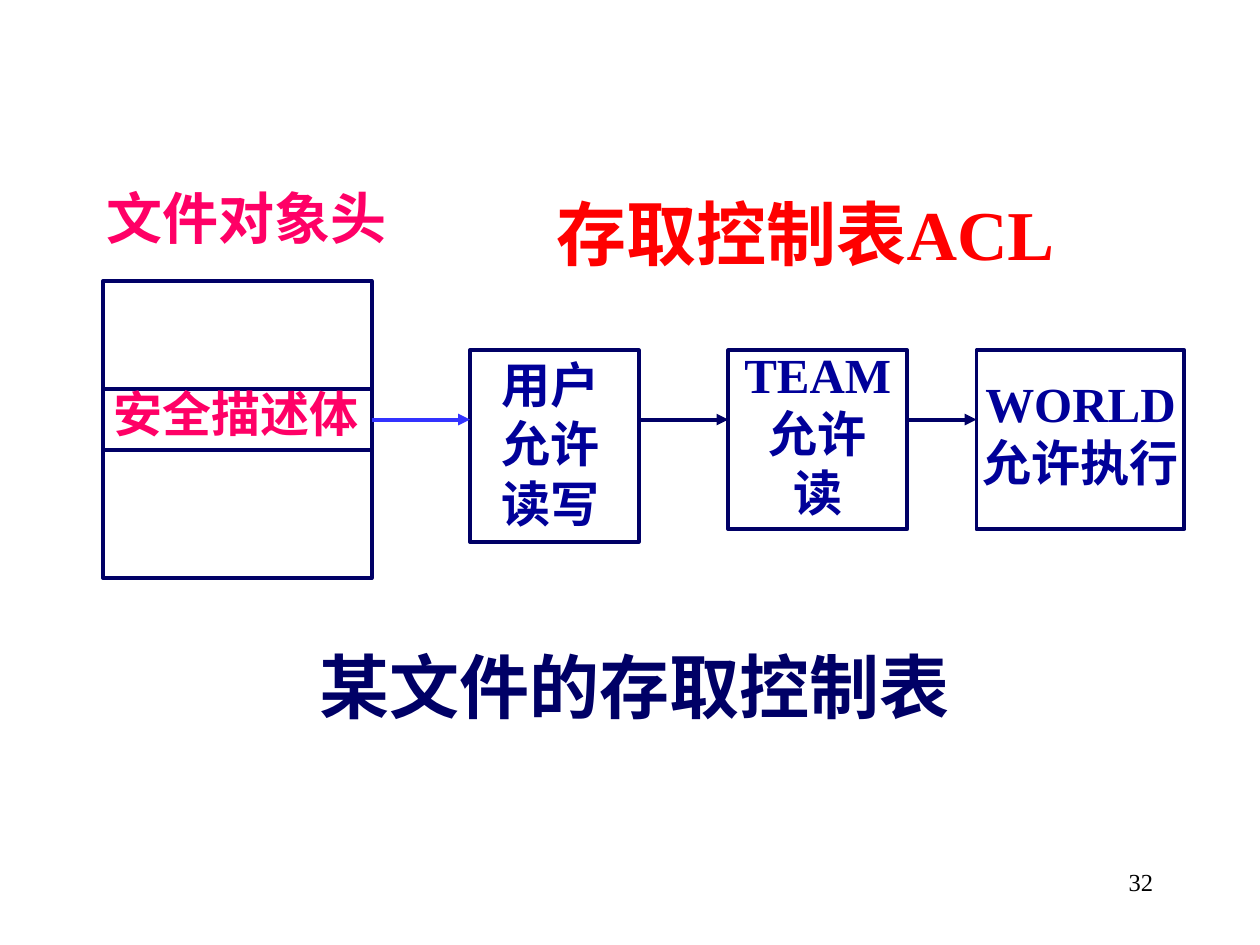
from lxml import etree
from pptx import Presentation
from pptx.dml.color import RGBColor
from pptx.enum import shapes, text
from pptx.oxml import ns
from pptx.util import Inches, Pt

FONT = "Times New Roman"
NAVY = RGBColor(0x00, 0x00, 0x66)
BLUE = RGBColor(0x00, 0x00, 0x99)
BRIGHT_BLUE = RGBColor(0x33, 0x33, 0xFF)
PINK = RGBColor(0xFF, 0x00, 0x66)
RED = RGBColor(0xFF, 0x00, 0x00)
BLACK = RGBColor(0x00, 0x00, 0x00)
LEFT, CENTER, RIGHT = text.PP_ALIGN.LEFT, text.PP_ALIGN.CENTER, text.PP_ALIGN.RIGHT
LINE_WIDTH = Pt(2.25)
WIDE_MARGINS = (0.1, 0.05)
TIGHT_MARGINS = (0, 0.01)

# left, top, width, height
FILE_HEADER = (0.82, 2.23, 2.13, 2.36)
DESCRIPTOR_EDGES = (3.09, 3.57)
ARROW_Y = 3.33

# box, text area, lines
ACL_ENTRIES = [
    ((3.73, 2.78, 1.34, 1.52), (3.66, 2.86, 1.42, 1.38), ["用户", "允许", "读写"]),
    ((5.78, 2.78, 1.42, 1.42), (5.78, 2.78, 1.42, 1.38), ["TEAM", "允许", "读"]),
    ((7.75, 2.78, 1.65, 1.42), (7.75, 3.01, 1.65, 0.91), ["WORLD", "允许执行"]),
]

# text, area, size, colour, alignment, margins
LABELS = [
    ("文件对象头", (0.75, 1.47, 2.59, 0.58), 32, PINK, LEFT, WIDE_MARGINS),
    ("安全描述体", (0.9, 3.09, 2.12, 0.44), 28, PINK, LEFT, TIGHT_MARGINS),
    ("存取控制表ACL", (4.42, 1.58, 4.33, 0.62), 40, RED, LEFT, TIGHT_MARGINS),
    ("某文件的存取控制表", (2.08, 5.17, 5.91, 0.62), 40, NAVY, CENTER, TIGHT_MARGINS),
]
PAGE_NUMBER = ("32", (7.17, 6.83, 2.08, 0.5))


def add_text(slide, lines, area, size, color, alignment, margins, bold=True, spacing=0.9):
    frame = slide.shapes.add_textbox(*map(Inches, area)).text_frame
    frame.word_wrap = True
    frame.margin_left = frame.margin_right = Inches(margins[0])
    frame.margin_top = frame.margin_bottom = Inches(margins[1])
    frame.text = "\n".join(lines)
    for index, paragraph in enumerate(frame.paragraphs):
        paragraph.alignment = alignment
        paragraph.line_spacing = spacing
        if index:
            paragraph.space_before = Pt(3.5)
        font = paragraph.font
        font.name, font.size, font.bold = FONT, Pt(size), bold
        font.color.rgb = color


def add_box(slide, area):
    box = slide.shapes.add_shape(shapes.MSO_SHAPE.RECTANGLE, *map(Inches, area))
    box.shadow.inherit = False
    box.fill.background()
    box.line.color.rgb = NAVY
    box.line.width = LINE_WIDTH


def add_line(slide, start_x, end_x, y, color=NAVY, arrow=False):
    """Draw a horizontal line, with an arrowhead at its end if asked."""
    connector = slide.shapes.add_connector(
        shapes.MSO_CONNECTOR.STRAIGHT, *map(Inches, (start_x, y, end_x, y)))
    connector.line.color.rgb = color
    connector.line.width = LINE_WIDTH
    if arrow:
        line = connector.line._get_or_add_ln()
        etree.SubElement(line, ns.qn("a:tailEnd"), type="triangle")
    etree.SubElement(connector._element.spPr, ns.qn("a:effectLst"))


def main():
    presentation = Presentation()
    presentation.slide_width, presentation.slide_height = Inches(10), Inches(7.5)
    slide = presentation.slides.add_slide(presentation.slide_layouts[6])

    add_box(slide, FILE_HEADER)
    header_left, header_right = FILE_HEADER[0], FILE_HEADER[0] + FILE_HEADER[2]
    for y in DESCRIPTOR_EDGES:
        add_line(slide, header_left, header_right, y)

    for label, area, size, color, alignment, margins in LABELS:
        add_text(slide, [label], area, size, color, alignment, margins)

    previous_right, arrow_color = header_right, BRIGHT_BLUE
    for box, text_area, lines in ACL_ENTRIES:
        add_text(slide, lines, text_area, 28, BLUE, CENTER, TIGHT_MARGINS)
        add_box(slide, box)
        add_line(slide, previous_right, box[0], ARROW_Y, arrow_color, arrow=True)
        previous_right, arrow_color = box[0] + box[2], NAVY

    number, area = PAGE_NUMBER
    add_text(slide, [number], area, 14, BLACK, RIGHT, WIDE_MARGINS, bold=False, spacing=1.0)
    presentation.save("out.pptx")


if __name__ == "__main__":
    main()
